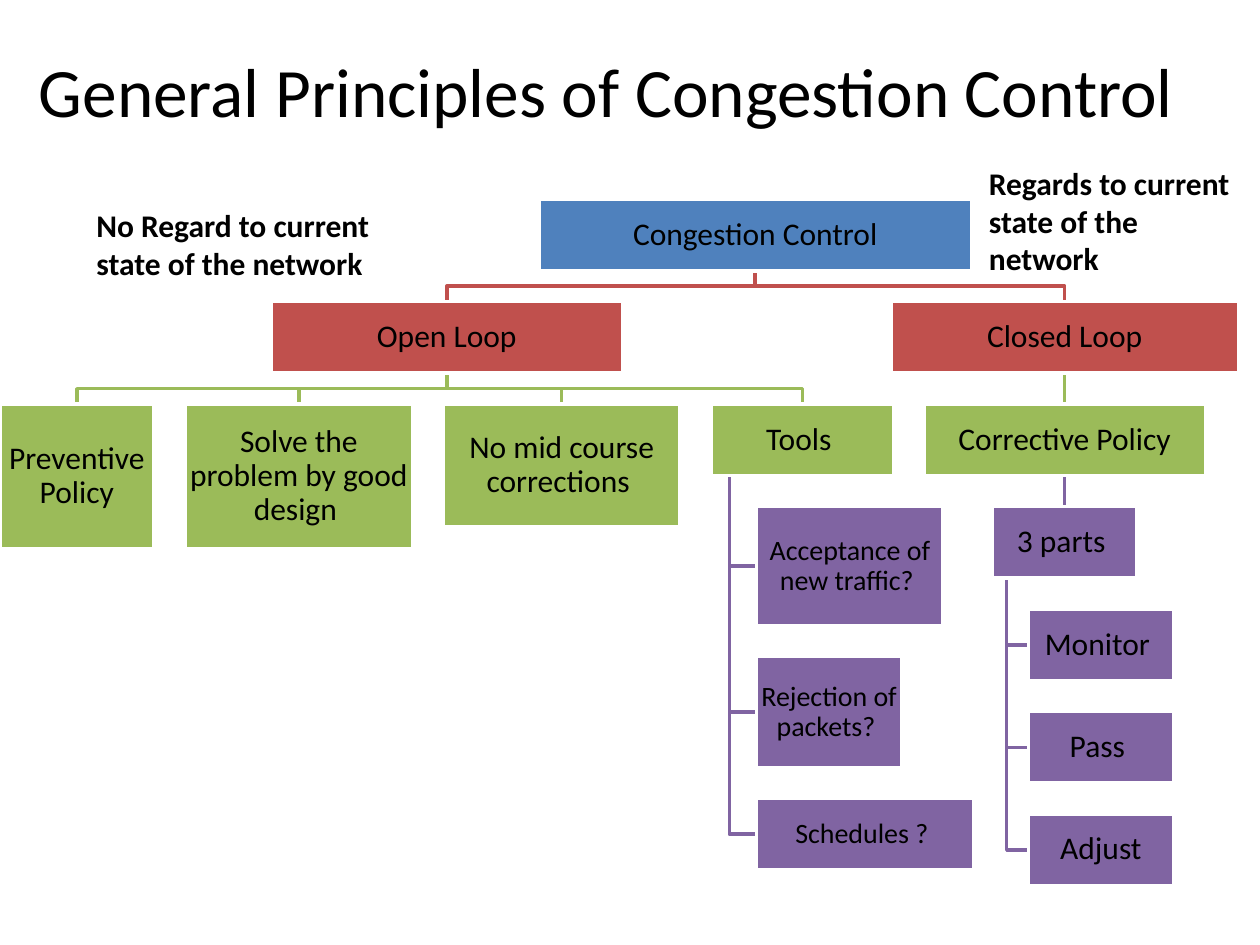
from dataclasses import dataclass, field

from lxml.etree import SubElement
from pptx import Presentation
from pptx.dml.color import RGBColor as RGB
from pptx.enum.shapes import MSO_CONNECTOR as CONN, MSO_SHAPE as SHAPE
from pptx.enum.text import MSO_ANCHOR as ANCHOR, PP_ALIGN as ALIGN
from pptx.oxml.ns import qn
from pptx.util import Pt


@dataclass(frozen=True)
class Theme:
    font: str = "Calibri"
    ink: str = "000000"
    border: str = "FFFFFF"
    levels: tuple = ("4F81BD", "C0504D", "9BBB59", "8064A2")
    title: float = 39.6
    body: float = 18
    small: float = 16
    line: float = 2


@dataclass
class Node:
    text: str
    w: float
    h: float = 41
    cx: float = 0
    size: float = 18
    hang: bool = False  # children stacked below, off a side trunk
    kids: list = field(default_factory=list)
    top: float = 0
    color: str = ""

    @property
    def left(self):
        return self.cx - self.w / 2

    @property
    def bottom(self):
        return self.top + self.h


T = Theme()
GAP = 17.55     # space between levels
TRUNK = 0.1     # side trunk, as a share of the parent's width
INDENT = 0.25   # hung child, as a share of the parent's width


def put_text(sp, text, size=T.body, bold=False, align=ALIGN.LEFT,
             anchor=ANCHOR.TOP, inset=None, spacing=None):
    tf = sp.text_frame
    tf.word_wrap = True
    tf.vertical_anchor = anchor
    if inset is not None:
        tf.margin_left = tf.margin_right = Pt(inset)
        tf.margin_top = tf.margin_bottom = Pt(inset)
    p = tf.paragraphs[0]
    p.alignment = align
    if spacing:
        p.line_spacing = spacing
    r = p.add_run()
    r.text = text
    r.font.name, r.font.size, r.font.bold = T.font, Pt(size), bold
    r.font.color.rgb = RGB.from_string(T.ink)


def add_label(s, text, x, y, w, h, **fmt):
    sp = s.shapes.add_textbox(Pt(x), Pt(y), Pt(w), Pt(h))
    put_text(sp, text, **fmt)


def set_line(sp, color):
    sp.line.color.rgb = RGB.from_string(color)
    sp.line.width = Pt(T.line)


def add_box(s, n):
    sp = s.shapes.add_shape(SHAPE.RECTANGLE, Pt(n.left), Pt(n.top), Pt(n.w), Pt(n.h))
    sp.shadow.inherit = False
    sp.fill.solid()
    sp.fill.fore_color.rgb = RGB.from_string(n.color)
    set_line(sp, T.border)
    put_text(sp, n.text, size=n.size, align=ALIGN.CENTER,
             anchor=ANCHOR.MIDDLE, inset=0.9, spacing=0.9)


def add_path(s, points, color):
    pts = [(Pt(x), Pt(y)) for x, y in points]
    if len(pts) == 2:
        sp = s.shapes.add_connector(CONN.STRAIGHT, *pts[0], *pts[1])
        SubElement(sp._element.spPr, qn("a:effectLst"))
    else:
        fb = s.shapes.build_freeform(*pts[0], scale=1.0)
        fb.add_line_segments(pts[1:], close=False)
        sp = fb.convert_to_shape()
        sp.shadow.inherit = False
        sp.fill.background()
    set_line(sp, color)


def link_points(n, kid):
    if n.hang:
        x, y = n.left + TRUNK * n.w, kid.top + kid.h / 2
        return [(x, n.bottom), (x, y), (kid.left, y)]
    if n.cx == kid.cx:
        return [(n.cx, n.bottom), (kid.cx, kid.top)]
    y = (n.bottom + kid.top) / 2
    return [(n.cx, n.bottom), (n.cx, y), (kid.cx, y), (kid.cx, kid.top)]


def place(n, top, level=0):
    """Set tops, colours and hung positions; return all nodes of the branch."""
    n.top, n.color = top, T.levels[min(level, len(T.levels) - 1)]
    nodes, y = [n], n.bottom + GAP
    for kid in n.kids:
        if n.hang:
            kid.cx = n.left + INDENT * n.w + kid.w / 2
        nodes += place(kid, y, level + 1)
        if n.hang:
            y = kid.bottom + GAP
    return nodes


def congestion_tree():
    tools = Node("Tools ", 104.4, cx=458.5, hang=True, kids=[
        Node("Acceptance of new traffic? ", 106.6, 68.2, size=T.small),
        Node("Rejection of packets? ", 82.8, 63.4, size=T.small),
        Node("Schedules ? ", 123.8, size=T.small)])
    parts = Node("3 parts ", 82.8, cx=608.4, hang=True, kids=[
        Node(t, 82.8) for t in ("Monitor ", "Pass ", "Adjust")])
    open_loop = Node("Open Loop", 200.9, cx=255.3, kids=[
        Node("Preventive Policy", 87.8, 82.8, cx=43.9),
        Node("Solve the problem by good design ", 130.3, 82.8, cx=170.8),
        Node("No mid course corrections ", 135.4, 70.2, cx=321),
        tools])
    closed_loop = Node("Closed Loop", 198.7, cx=608.4, kids=[
        Node("Corrective Policy", 161, cx=608.4, kids=[parts])])
    return Node("Congestion Control", 247, cx=431.6, kids=[open_loop, closed_loop])


def main():
    prs = Presentation()
    prs.slide_width, prs.slide_height = Pt(720), Pt(540)
    s = prs.slides.add_slide(prs.slide_layouts[6])

    # Title
    add_label(s, "General Principles of Congestion Control ", 0, 6, 702, 90,
              size=T.title, align=ALIGN.CENTER, anchor=ANCHOR.MIDDLE)

    # Tree: links behind, boxes in front
    nodes = place(congestion_tree(), 113.8)
    for n in nodes:
        for kid in n.kids:
            add_path(s, link_points(n, kid), kid.color)
    for n in nodes:
        add_box(s, n)

    # Side remarks
    add_label(s, "No Regard to current state of the network",
              48, 114, 186, 51, bold=True)
    add_label(s, "Regards to current state of the network",
              558, 90, 156, 72.7, bold=True)

    prs.save("out.pptx")


main()
